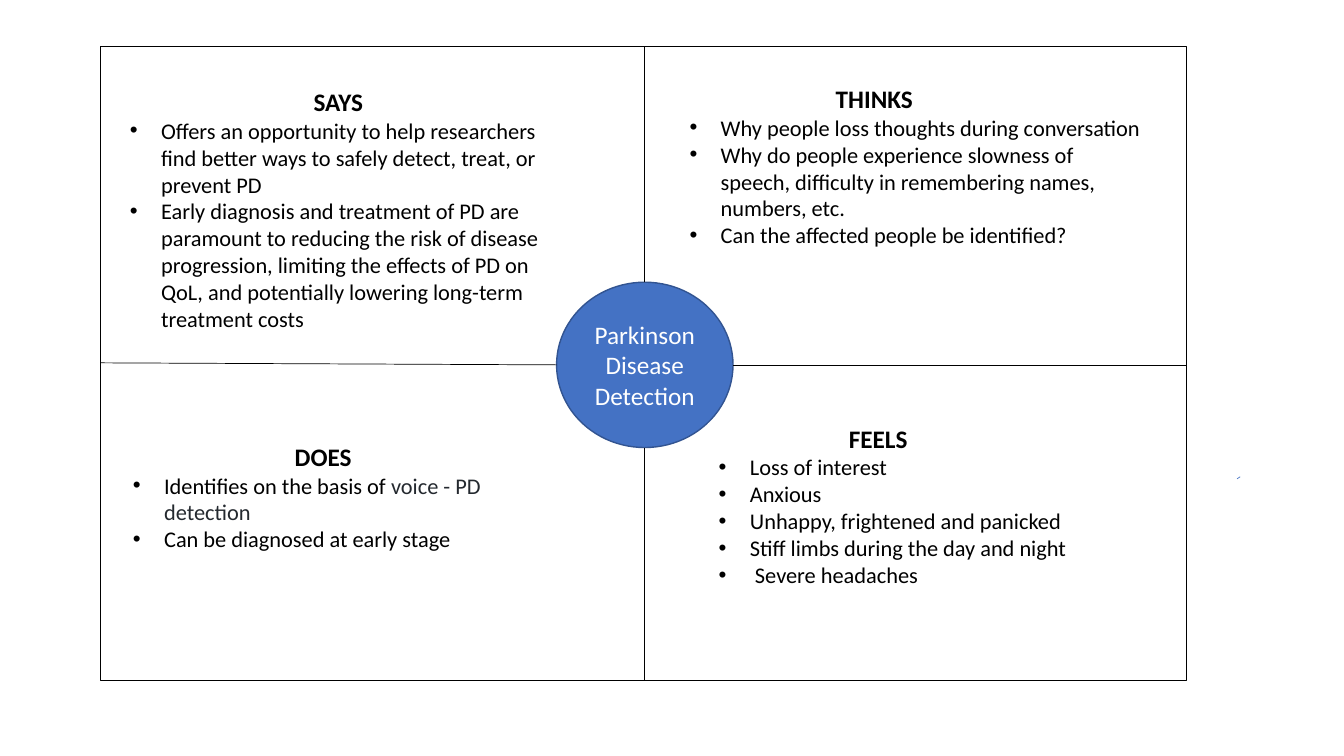
from lxml import etree
from pptx import Presentation
from pptx.dml.color import RGBColor
from pptx.enum.shapes import MSO_CONNECTOR, MSO_SHAPE
from pptx.enum.text import MSO_ANCHOR, PP_ALIGN
from pptx.oxml.ns import qn
from pptx.util import Inches, Pt

LINE = MSO_CONNECTOR.STRAIGHT
RECT, OVAL = MSO_SHAPE.RECTANGLE, MSO_SHAPE.OVAL
TOP, MIDDLE = MSO_ANCHOR.TOP, MSO_ANCHOR.MIDDLE
LEFT, CENTER = PP_ALIGN.LEFT, PP_ALIGN.CENTER
BLACK = RGBColor(0, 0, 0)
WHITE = RGBColor(255, 255, 255)
BLUE = RGBColor(0x44, 0x72, 0xC4)
NAVY = RGBColor(0x32, 0x54, 0x91)
SLATE = RGBColor(0x24, 0x29, 0x2F)

FRAME = (1, 0.46, 10.77, 6.29)
HUB = (5.52, 2.8, 1.75, 1.64)
PANELS = [
    ((6.74, 0.83, 4.72, 1.85), 0, "THINKS", 1.45, [
        "Why people loss thoughts during conversation",
        "Why do people experience slowness of speech, difficulty in "
        "remembering names, numbers, etc.",
        "Can the affected people be identified?"]),
    ((1.19, 0.73, 4.33, 2.68), 0.13, "SAYS", None, [
        "Offers an opportunity to help researchers find better ways to "
        "safely detect, treat, or prevent PD",
        "Early diagnosis and treatment of PD are paramount to reducing the "
        "risk of disease progression, limiting the effects of PD on QoL, "
        "and potentially lowering long-term treatment costs"]),
    ((7.03, 4.2, 4.51, 1.89), 0, "FEELS", 1.29, [
        "Loss of interest", "Anxious", "Unhappy, frightened and panicked",
        "Stiff limbs during the day and night", " Severe headaches"]),
    ((1.22, 3.77, 3.97, 2.32), 0.61, "DOES", None, [
        ("Identifies on the basis of ", "voice - PD detection"),
        "Can be diagnosed at early stage"]),
]


def add_box(slide, kind, box, fill, edge):
    """Add a filled, outlined shape without a shadow."""
    shape = slide.shapes.add_shape(kind, *map(Inches, box))
    shape.shadow.inherit = False
    shape.fill.solid()
    shape.fill.fore_color.rgb = fill
    shape.line.color.rgb = edge
    shape.line.width = Pt(1)
    return shape


def add_line(slide, start, end, color=BLACK):
    """Add a thin straight line."""
    line = slide.shapes.add_connector(LINE, *map(Inches, start + end))
    line.line.color.rgb = color
    line.line.width = Pt(0.5)
    etree.SubElement(line._element.spPr, qn("a:effectLst"))


def set_font(para, size, color, bold=False):
    """Set the font of a whole paragraph."""
    font = para.font
    font.name, font.size, font.bold = "Calibri", Pt(size), bold
    font.color.rgb = color


def add_bullet(para):
    """Give a paragraph a hanging bullet."""
    props = para._p.get_or_add_pPr()
    props.set("marL", str(Inches(0.31)))
    props.set("indent", str(-Inches(0.31)))
    mark = etree.Element(qn("a:buChar"), char="\u2022")
    face = etree.Element(qn("a:buFont"), typeface="Arial")
    props.insert(0, face)
    props.insert(1, mark)


def add_panel(slide, box, pad, title, inset, items):
    """Add one quadrant's heading and bullets."""
    frame = add_box(slide, RECT, box, WHITE, WHITE).text_frame
    frame.word_wrap = True
    frame.vertical_anchor = TOP
    frame.margin_top, frame.margin_bottom = Inches(pad), 0
    head = frame.paragraphs[0]
    head.text = title
    head.alignment = CENTER if inset is None else LEFT
    if inset is not None:
        head._p.get_or_add_pPr().set("marL", str(Inches(inset)))
    set_font(head, 18, BLACK, True)
    for item in items:
        para = frame.add_paragraph()
        para.alignment = LEFT
        set_font(para, 16, BLACK)
        add_bullet(para)
        parts = (item,) if isinstance(item, str) else item
        for part, color in zip(parts, (BLACK, SLATE)):
            run = para.add_run()
            run.text = part
            run.font.color.rgb = color


def add_hub(slide, box):
    """Add the central topic circle."""
    frame = add_box(slide, OVAL, box, BLUE, NAVY).text_frame
    frame.word_wrap = True
    frame.vertical_anchor = MIDDLE
    frame.text = "Parkinson\nDisease Detection"
    for para in frame.paragraphs:
        para.alignment = CENTER
        set_font(para, 18, WHITE)


def add_cross(slide, frame, hub):
    """Join the circle to the four sides of the frame."""
    left, top, width, height = frame
    x, y, w, h = hub
    mid_x, mid_y = x + w / 2, y + h / 2
    add_line(slide, (mid_x, y), (mid_x, top))
    add_line(slide, (mid_x, top + height), (mid_x, y + h))
    add_line(slide, (x, mid_y), (left, mid_y - 0.02))
    add_line(slide, (left + width, mid_y), (x + w, mid_y))


def add_map(slide):
    """Build the empathy map."""
    add_box(slide, RECT, FRAME, WHITE, BLACK)
    add_hub(slide, HUB)
    add_line(slide, (12.3, 4.73), (12.27, 4.75), BLUE)
    for panel in PANELS:
        add_panel(slide, *panel)
    add_cross(slide, FRAME, HUB)


deck = Presentation()
deck.slide_width, deck.slide_height = Inches(13.33), Inches(7.5)
add_map(deck.slides.add_slide(deck.slide_layouts[6]))
deck.save("out.pptx")
